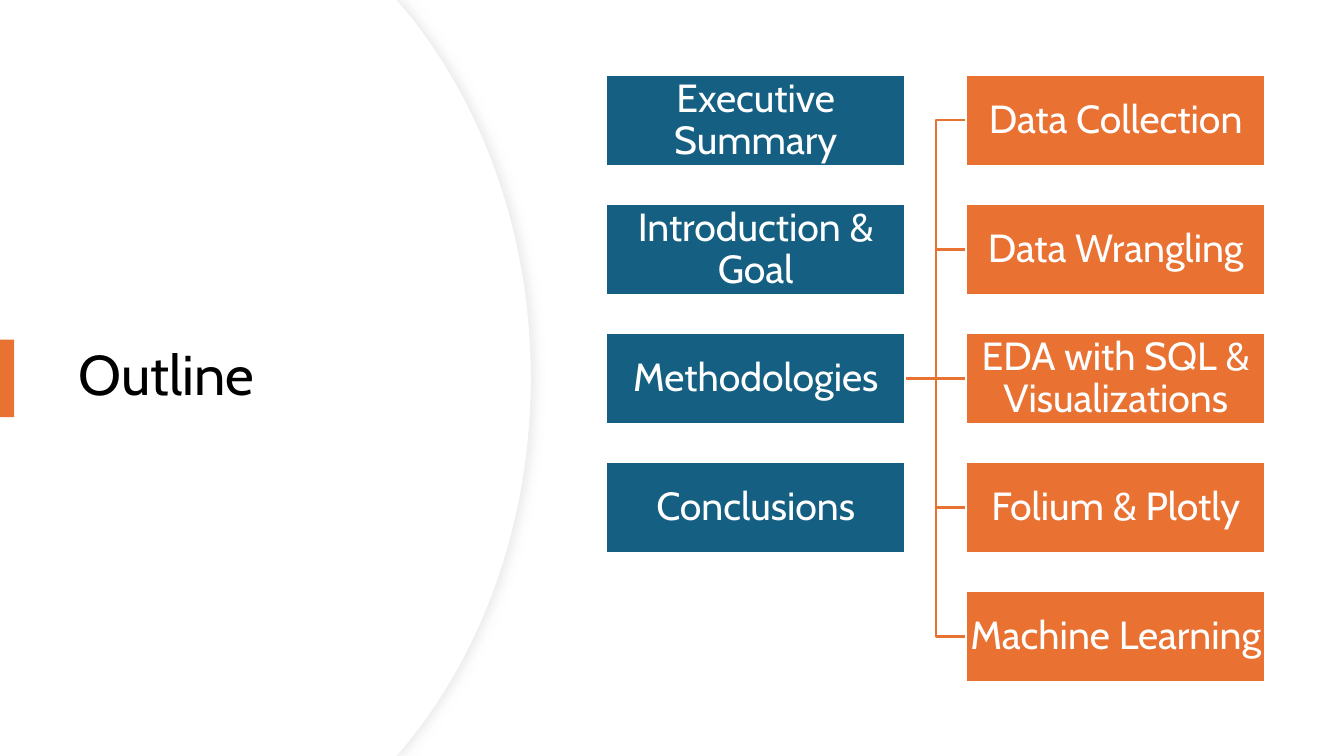
from lxml import etree
from pptx import Presentation
from pptx.dml.color import RGBColor
from pptx.enum.shapes import MSO_CONNECTOR, MSO_SHAPE
from pptx.enum.text import MSO_ANCHOR, PP_ALIGN
from pptx.oxml import parse_xml
from pptx.oxml.ns import nsdecls, qn
from pptx.util import Inches, Pt

WHITE = RGBColor(0xFF, 0xFF, 0xFF)
BLACK = RGBColor(0x00, 0x00, 0x00)
BLUE = RGBColor(0x15, 0x60, 0x82)
ORANGE = RGBColor(0xE9, 0x71, 0x32)
PALE_GREY = RGBColor(0xEF, 0xEF, 0xEF)

FONT = "Cabin"
SLIDE_WIDTH, SLIDE_HEIGHT = 13.33, 7.5
BOX_WIDTH, BOX_HEIGHT = 2.97, 0.91
SECTION_LEFT, METHOD_LEFT = 6.01, 9.58
FIRST_TOP, ROW_STEP = 0.74, 1.28

SECTIONS = ["Executive Summary", "Introduction & Goal", "Methodologies", "Conclusions"]
METHODS = ["Data Collection", "Data Wrangling", "EDA with SQL & Visualizations",
           "Folium & Plotly", "Machine Learning"]
BRANCHING_ROW = SECTIONS.index("Methodologies")


def row_top(row):
    return FIRST_TOP + row * ROW_STEP


def row_middle(row):
    return row_top(row) + BOX_HEIGHT / 2


def write_text(shape, text, size, color, alignment, inset):
    frame = shape.text_frame
    frame_format = {
        "word_wrap": True,
        "vertical_anchor": MSO_ANCHOR.MIDDLE,
        "margin_left": Inches(inset),
        "margin_right": Inches(inset),
        "margin_top": Inches(inset),
        "margin_bottom": Inches(inset),
    }
    for name, value in frame_format.items():
        setattr(frame, name, value)
    paragraph = frame.paragraphs[0]
    paragraph.alignment = alignment
    paragraph.line_spacing = 0.9
    run = paragraph.add_run()
    run.text = text
    for name, value in {"name": FONT, "size": Pt(size)}.items():
        setattr(run.font, name, value)
    run.font.color.rgb = color


def style_shape(shape, fill, line=None, line_width=0):
    shape.shadow.inherit = False
    shape.fill.solid()
    shape.fill.fore_color.rgb = fill
    if line is None:
        shape.line.fill.background()
    else:
        shape.line.color.rgb = line
        shape.line.width = Pt(line_width)


def curve_points(right, steps=24):
    """Points of the panel's bulging edge, from the top corner to the bottom one."""
    controls = [(right - 1.26, 0.08), (right - 0.48, 1.02),
                (right, 2.32), (right, SLIDE_HEIGHT / 2)]
    upper = [(right - 1.33, 0)]
    for step in range(steps + 1):
        t = step / steps
        weights = [(1 - t) ** 3, 3 * t * (1 - t) ** 2, 3 * t ** 2 * (1 - t), t ** 3]
        upper.append(tuple(sum(weight * point[axis] for weight, point in zip(weights, controls))
                           for axis in (0, 1)))
    lower = [(x, SLIDE_HEIGHT - y) for x, y in reversed(upper[:-1])]
    return upper + lower


def add_curved_panel(slide, right, line=None):
    builder = slide.shapes.build_freeform(0, 0)
    points = curve_points(right) + [(0, SLIDE_HEIGHT)]
    builder.add_line_segments([(Inches(x), Inches(y)) for x, y in points], close=True)
    panel = builder.convert_to_shape()
    style_shape(panel, WHITE, line, 0.75)
    return panel


def add_soft_shadow(shape):
    effects = shape.element.spPr.find(qn("a:effectLst"))
    effects.append(parse_xml(
        f'<a:outerShdw {nsdecls("a")} blurRad="{Pt(7)}" dist="{Pt(3)}" dir="0">'
        '<a:srgbClr val="D9D9D9"><a:alpha val="50000"/></a:srgbClr></a:outerShdw>'))


def add_title(slide, text):
    title = slide.shapes.add_textbox(Inches(0.68), Inches(1.27), Inches(3.94), Inches(4.95))
    write_text(title, text, 40, BLACK, PP_ALIGN.LEFT, 0.1)


def add_accent_bar(slide):
    bar = slide.shapes.add_shape(MSO_SHAPE.RECTANGLE, 0, Inches(3.37), Inches(0.14), Inches(0.77))
    style_shape(bar, ORANGE)


def add_branch(slide, row):
    """Connect the branching section to the method in the given row."""
    kind = MSO_CONNECTOR.STRAIGHT if row == BRANCHING_ROW else MSO_CONNECTOR.ELBOW
    branch = slide.shapes.add_connector(
        kind, Inches(SECTION_LEFT + BOX_WIDTH), Inches(row_middle(BRANCHING_ROW)),
        Inches(METHOD_LEFT), Inches(row_middle(row)))
    branch.line.color.rgb = ORANGE
    branch.line.width = Pt(1.5)
    etree.SubElement(branch.element.spPr, qn("a:effectLst"))


def add_box_column(slide, labels, left, fill):
    for row, label in enumerate(labels):
        box = slide.shapes.add_shape(MSO_SHAPE.RECTANGLE, Inches(left), Inches(row_top(row)),
                                     Inches(BOX_WIDTH), Inches(BOX_HEIGHT))
        style_shape(box, fill, WHITE, 1.5)
        write_text(box, label, 28, WHITE, PP_ALIGN.CENTER, 0.02)


def main():
    presentation = Presentation()
    presentation.slide_width = Inches(SLIDE_WIDTH)
    presentation.slide_height = Inches(SLIDE_HEIGHT)
    slide = presentation.slides.add_slide(presentation.slide_layouts[6])

    add_soft_shadow(add_curved_panel(slide, 5.27, PALE_GREY))
    add_curved_panel(slide, 5.26)
    add_title(slide, "Outline")
    add_accent_bar(slide)
    for row in range(len(METHODS)):
        add_branch(slide, row)
    add_box_column(slide, SECTIONS, SECTION_LEFT, BLUE)
    add_box_column(slide, METHODS, METHOD_LEFT, ORANGE)

    presentation.save("out.pptx")


if __name__ == "__main__":
    main()
